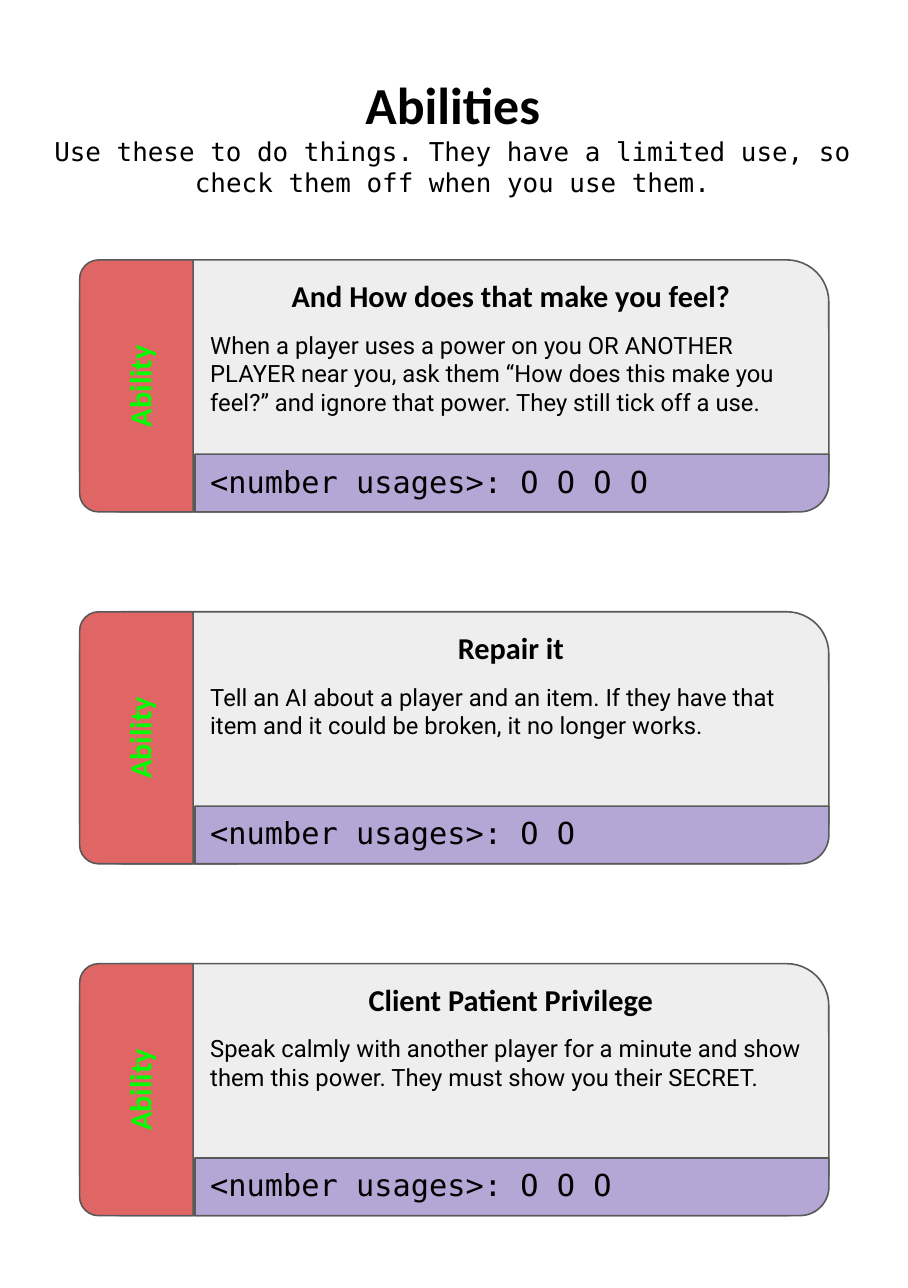
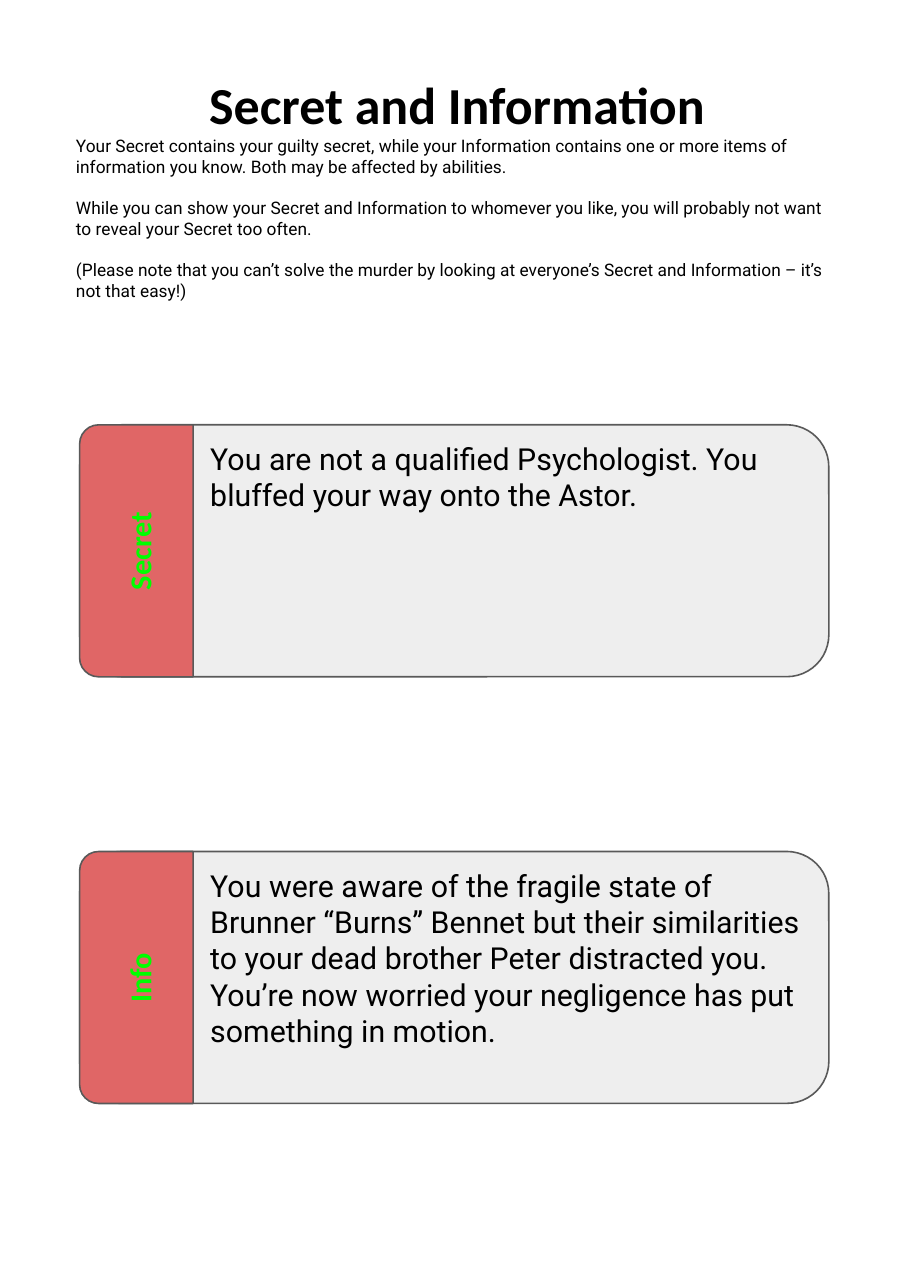
"""Build two A5 character sheets: ability cards, then secret and information cards."""
from pptx import Presentation
from pptx.dml.color import RGBColor
from pptx.enum.shapes import MSO_SHAPE as SHAPE
from pptx.enum.text import MSO_ANCHOR as ANCHOR, PP_ALIGN as ALIGN
from pptx.util import Cm, Pt

BLACK = RGBColor(0x00, 0x00, 0x00)
GREEN = RGBColor(0x00, 0xFF, 0x00)
GREY = RGBColor(0xEE, 0xEE, 0xEE)
RED = RGBColor(0xE0, 0x66, 0x66)
PURPLE = RGBColor(0xB4, 0xA7, 0xD6)
OUTLINE = RGBColor(0x59, 0x59, 0x59)
HEAD, BODY, MONO = "Calibri", "Roboto", "DejaVu Sans Mono"

CARD_LEFT, CARD_W, CARD_H = 1.3, 12.22, 4.11
TAB_W, BAR_H = 1.85, 0.94
TEXT_LEFT, TEXT_W = 3.18, 10.31
BAR_W = CARD_LEFT + CARD_W - TEXT_LEFT


def add_box(shapes, kind, left, top, width, height, fill, adjustments, rotation=0):
    """Add an outlined shape filling the given area as seen after rotation."""
    w, h = (height, width) if rotation else (width, height)
    sp = shapes.add_shape(kind, Cm(left + (width - w) / 2), Cm(top + (height - h) / 2),
                          Cm(w), Cm(h))
    for i, value in enumerate(adjustments):
        sp.adjustments[i] = value
    sp.rotation = rotation
    sp.shadow.inherit = False
    sp.fill.solid()
    sp.fill.fore_color.rgb = fill
    sp.line.color.rgb = OUTLINE
    sp.line.width = Pt(0.75)
    return sp


def write(sp, text, font, size, bold=False, color=BLACK, align=ALIGN.LEFT, more=False):
    """Write a paragraph into a shape, after the existing ones if more is set."""
    tf = sp.text_frame
    tf.word_wrap = True
    tf.margin_left = tf.margin_right = tf.margin_top = tf.margin_bottom = Cm(0.25)
    p = tf.add_paragraph() if more else tf.paragraphs[0]
    p.text = text
    p.alignment = align
    f = p.runs[0].font
    f.name, f.size, f.bold = font, Pt(size), bold
    f.color.rgb = color
    return p


pages = [
    {
        "title": "Abilities",
        "header": (0.58, 13.61),
        "intro": ["Use these to do things. They have a limited use, so check them off "
                  "when you use them."],
        "style": (MONO, 12, ALIGN.CENTER),
        "top": 4.24,
        "pitch": 5.74,
        "cards": [
            ("Ability", "And How does that make you feel?",
             "When a player uses a power on you OR ANOTHER PLAYER near you, ask them “How does "
             "this make you feel?” and ignore that power. They still tick off a use.", 4),
            ("Ability", "Repair it",
             "Tell an AI about a player and an item. If they have that item and it could be "
             "broken, it no longer works.", 2),
            ("Ability", "Client Patient Privilege",
             "Speak calmly with another player for a minute and show them this power. They "
             "must show you their SECRET.", 3),
        ],
    },
    {
        "title": "Secret and Information",
        "header": (0.99, 12.93),
        "intro": [
            "Your Secret contains your guilty secret, while your Information contains one or "
            "more items of information you know. Both may be affected by abilities.",
            "While you can show your Secret and Information to whomever you like, you will "
            "probably not want to reveal your Secret too often.",
            "(Please note that you can’t solve the murder by looking at everyone’s Secret and "
            "Information – it’s not that easy!)",
        ],
        "style": (BODY, 8, ALIGN.LEFT),
        "top": 6.93,
        "pitch": 6.96,
        "cards": [
            ("Secret", None,
             "You are not a qualified Psychologist. You bluffed your way onto the Astor.", 0),
            ("Info", None,
             "You were aware of the fragile state of Brunner “Burns” Bennet but their "
             "similarities to your dead brother Peter distracted you. You’re now worried your "
             "negligence has put something in motion.", 0),
        ],
    },
]

prs = Presentation()
prs.slide_width, prs.slide_height = Cm(14.81), Cm(21.01)

for page in pages:
    s = prs.slides.add_slide(prs.slide_layouts[6])
    left, width = page["header"]
    header = s.shapes.add_textbox(Cm(left), Cm(0.94), Cm(width), Cm(2.31))
    write(header, page["title"], HEAD, 24, bold=True, align=ALIGN.CENTER)
    font, size, align = page["style"]
    for i, text in enumerate(page["intro"]):
        p = write(header, text, font, size, align=align, more=True)
        p.space_before = Pt(9.6 if i else 0)

    for i, (label, name, text, uses) in enumerate(page["cards"]):
        top = page["top"] + i * page["pitch"]
        card = s.shapes.add_group_shape().shapes
        add_box(card, SHAPE.ROUNDED_RECTANGLE, CARD_LEFT, top, CARD_W, CARD_H, GREY, [0.167])
        tab = add_box(card, SHAPE.ROUND_2_SAME_RECTANGLE, CARD_LEFT, top, TAB_W, CARD_H,
                      RED, [0.167, 0], 270)
        tab.text_frame.vertical_anchor = ANCHOR.MIDDLE
        write(tab, label, HEAD, 14, bold=True, color=GREEN, align=ALIGN.CENTER)

        lines = [(0, CARD_H, text, BODY, 14, False, ALIGN.LEFT)]
        if name:
            add_box(card, SHAPE.ROUND_1_RECTANGLE, TEXT_LEFT, top + CARD_H - BAR_H,
                    BAR_W, BAR_H, PURPLE, [0.5], 90)
            usages = "<number usages>: " + " ".join("O" * uses)
            lines = [(0.03, 1.19, name, HEAD, 14, True, ALIGN.CENTER),
                     (0.9, 1.32, text, BODY, 11, False, ALIGN.LEFT),
                     (3.06, 1.19, usages, MONO, 14, False, ALIGN.LEFT)]
        for offset, height, line, font, size, bold, align in lines:
            box = card.add_textbox(Cm(TEXT_LEFT), Cm(top + offset), Cm(TEXT_W), Cm(height))
            write(box, line, font, size, bold=bold, align=align)

prs.save("out.pptx")
